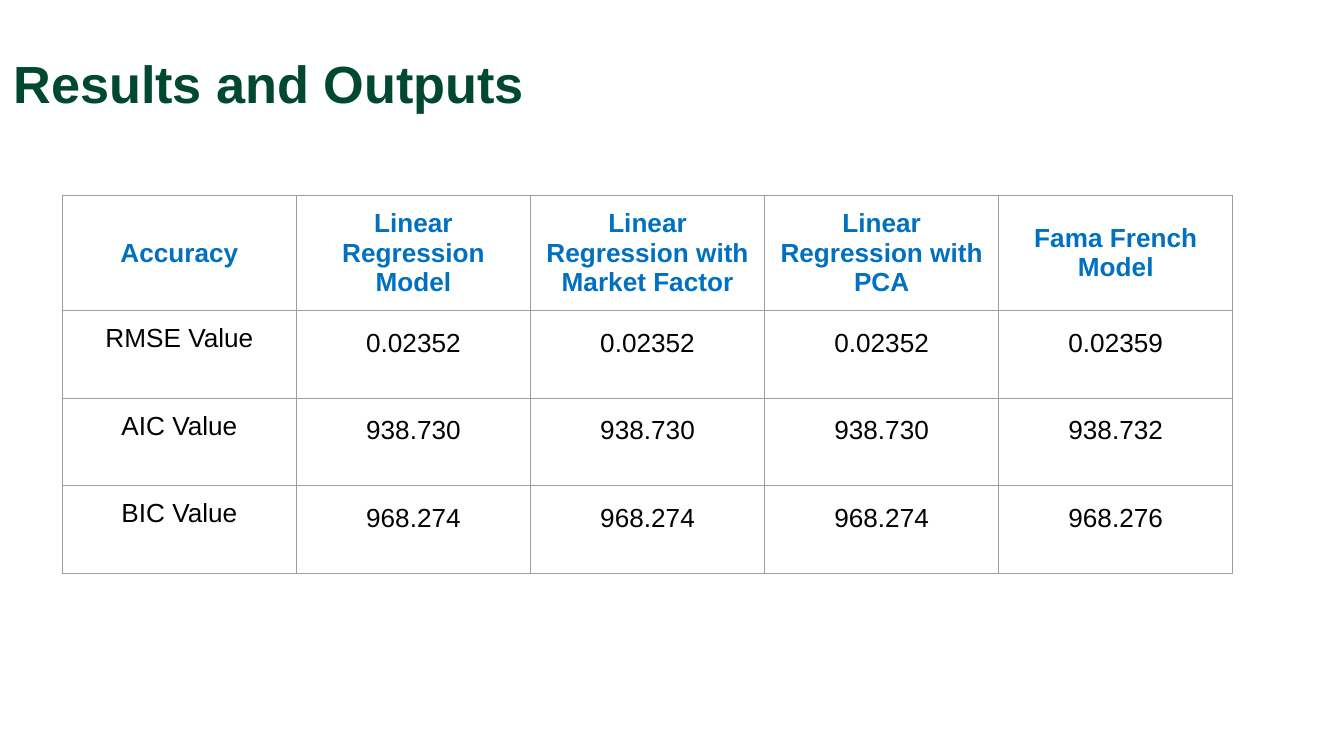
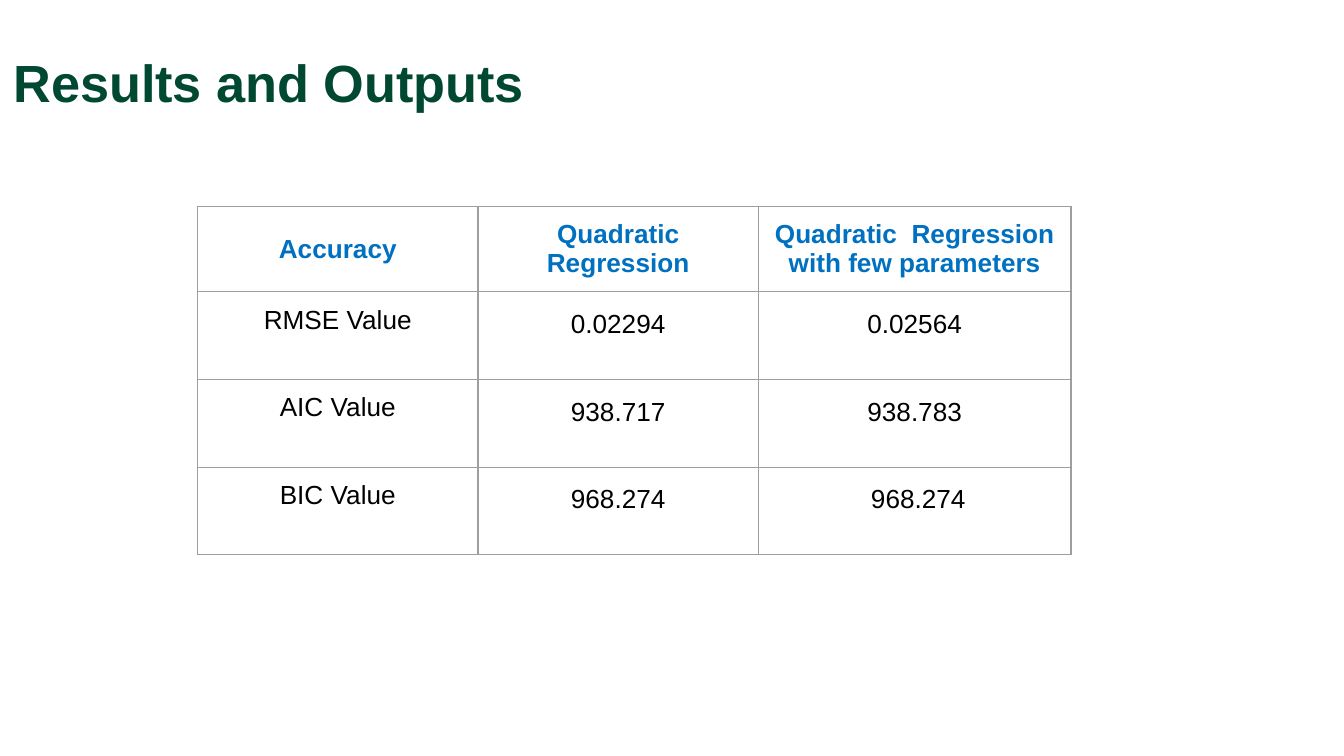
from lxml import etree
from pptx import Presentation
from pptx.dml.color import RGBColor
from pptx.enum.text import MSO_ANCHOR, MSO_AUTO_SIZE, PP_ALIGN
from pptx.oxml.ns import qn
from pptx.util import Inches, Pt

TOP, MIDDLE = MSO_ANCHOR.TOP, MSO_ANCHOR.MIDDLE
LEFT, CENTER = PP_ALIGN.LEFT, PP_ALIGN.CENTER
NO_AUTOFIT = MSO_AUTO_SIZE.NONE

# Shared look: a 16:9 slide, lengths in percent of its size
SLIDE_WIDTH = 10
SLIDE_HEIGHT = SLIDE_WIDTH * 9 / 16
FONT = "Arial"
TITLE_GREEN, HEADER_BLUE, BODY_BLACK = "004832", "0070C0", "000000"
BACKGROUND, GRID_GREY = "FFFFFF", "9E9E9E"
PADDING = Inches(0.1)
TITLE_HEIGHT, HEADER_HEIGHT, MEASURE_HEIGHT = 11.2, 11.2, 11.6

# Model comparisons
LINEAR_MODELS = [
    ["Accuracy", "Linear Regression Model", "Linear Regression with Market Factor",
     "Linear Regression with PCA", "Fama French Model"],
    ["RMSE Value", "0.02352", "0.02352", "0.02352", "0.02359"],
    ["AIC Value", "938.730", "938.730", "938.730", "938.732"],
    ["BIC Value", "968.274", "968.274", "968.274", "968.276"],
]
QUADRATIC_MODELS = [
    ["Accuracy", "Quadratic Regression", "Quadratic  Regression with few parameters"],
    ["RMSE Value", "0.02294", "0.02564"],
    ["AIC Value", "938.717", "938.783"],
    ["BIC Value", "968.274", " 968.274"],
]


def across(percent):
    return Inches(SLIDE_WIDTH * percent / 100)


def down(percent):
    return Inches(SLIDE_HEIGHT * percent / 100)


def color(hex_value):
    return RGBColor.from_string(hex_value)


def style_text(paragraph, size, hex_value, bold, alignment):
    paragraph.alignment = alignment
    for run in paragraph.runs:
        run.font.name = FONT
        run.font.size = Pt(size)
        run.font.bold = bold
        run.font.color.rgb = color(hex_value)


def add_results_slide(deck, title_top, title_width):
    slide = deck.slides.add_slide(deck.slide_layouts[5])
    slide.background.fill.solid()
    slide.background.fill.fore_color.rgb = color(BACKGROUND)

    title = slide.shapes.title
    title.left, title.top = 0, down(title_top)
    title.width, title.height = across(title_width), down(TITLE_HEIGHT)
    frame = title.text_frame
    frame.text = "Results and Outputs"
    frame.word_wrap = True
    frame.auto_size = NO_AUTOFIT
    frame.vertical_anchor = TOP
    frame.margin_left = frame.margin_right = PADDING
    frame.margin_top = frame.margin_bottom = PADDING
    style_text(frame.paragraphs[0], 28, TITLE_GREEN, True, LEFT)
    return slide


def outline_cell(cell):
    """Draw all four cell borders; they must precede the fill in the XML."""
    properties = cell._tc.get_or_add_tcPr()
    for position, side in enumerate(("a:lnL", "a:lnR", "a:lnT", "a:lnB")):
        border = etree.Element(qn(side), w=str(Pt(0.75)))
        fill = etree.SubElement(border, qn("a:solidFill"))
        etree.SubElement(fill, qn("a:srgbClr"), val=GRID_GREY)
        properties.insert(position, border)


def fill_cell(cell, text, is_header, is_value):
    cell.text = text
    cell.fill.background()
    cell.margin_left = cell.margin_right = PADDING
    cell.margin_top = cell.margin_bottom = PADDING
    cell.vertical_anchor = MIDDLE if is_header else TOP
    paragraph = cell.text_frame.paragraphs[0]
    style_text(paragraph, 14, HEADER_BLUE if is_header else BODY_BLACK, is_header, CENTER)
    if is_value:
        paragraph.line_spacing = 1.15
    outline_cell(cell)


def add_accuracy_table(slide, left, top, column_widths, models):
    row_heights = [HEADER_HEIGHT] + [MEASURE_HEIGHT] * (len(models) - 1)
    table = slide.shapes.add_table(
        len(models), len(column_widths), across(left), down(top),
        across(sum(column_widths)), down(sum(row_heights))).table
    table.first_row = table.horz_banding = False
    for column, width in zip(table.columns, column_widths):
        column.width = across(width)
    for row, height in zip(table.rows, row_heights):
        row.height = down(height)
    for r, measures in enumerate(models):
        for c, text in enumerate(measures):
            fill_cell(table.cell(r, c), text, r == 0, r > 0 and c > 0)


def main():
    deck = Presentation()
    deck.slide_width, deck.slide_height = across(100), down(100)

    # Linear models
    slide = add_results_slide(deck, 5, 93.2)
    add_accuracy_table(slide, 4.64, 25.85, [17.42] * 5, LINEAR_MODELS)

    # Quadratic models
    slide = add_results_slide(deck, 4.87, 55.6)
    add_accuracy_table(slide, 14.7, 27.27, [20.87, 20.87, 23.25], QUADRATIC_MODELS)

    deck.save("out.pptx")


if __name__ == "__main__":
    main()
